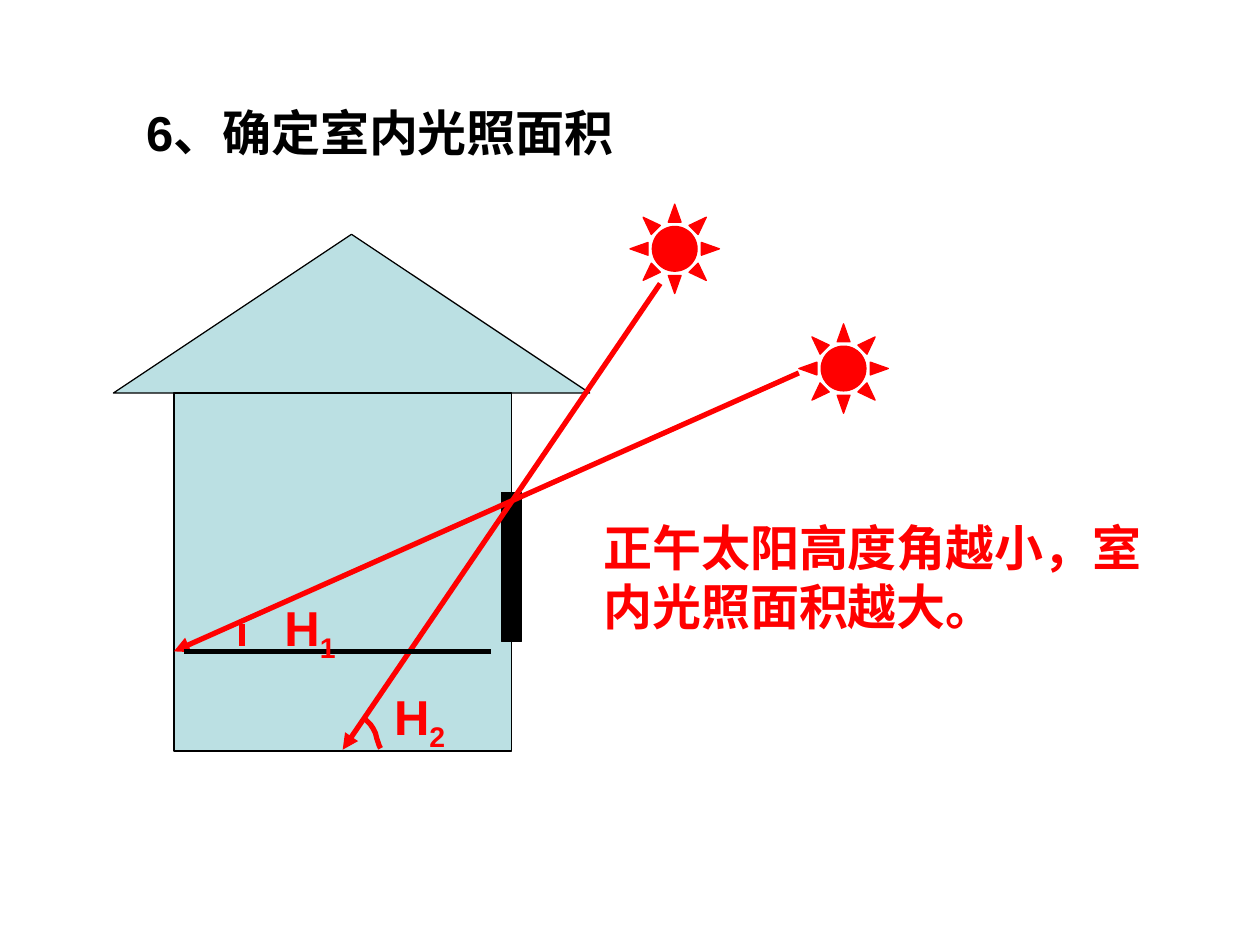
from pptx import Presentation
from pptx.dml.color import RGBColor
from pptx.enum.shapes import MSO_CONNECTOR, MSO_SHAPE
from pptx.enum.text import MSO_ANCHOR, MSO_AUTO_SIZE, PP_ALIGN
from pptx.oxml.ns import qn
from pptx.util import Inches, Pt
from lxml import etree

RED = RGBColor(0xFF, 0x00, 0x00)
BLACK = RGBColor(0x00, 0x00, 0x00)
PALE_BLUE = RGBColor(0xBB, 0xE0, 0xE3)
FONT = "Arial"
STRAIGHT = MSO_CONNECTOR.STRAIGHT
TITLE_ONLY = 5

# The slide is a grid of 100 columns by 75 rows of square cells.
COLUMNS, ROWS = 100, 75
CELL = Inches(0.1)


def cells(*counts):
    return [round(count * CELL) for count in counts]


def add_preset(shapes, kind, box, fill, line=BLACK):
    shape = shapes.add_shape(kind, *cells(*box))
    shape.shadow.inherit = False
    shape.fill.solid()
    shape.fill.fore_color.rgb = fill
    shape.line.color.rgb = line
    shape.line.width = Pt(0.75)


def add_line(shapes, start, end, color, arrow=False):
    connector = shapes.add_connector(STRAIGHT, *cells(*start, *end))
    connector.line.color.rgb = color
    connector.line.width = Pt(3)
    if arrow:
        outline = connector.line._get_or_add_ln()
        etree.SubElement(outline, qn("a:tailEnd"), type="triangle")
    etree.SubElement(connector._element.spPr, qn("a:effectLst"))


def fill_text(shape, text, color, subscript=None):
    frame = shape.text_frame
    frame.word_wrap = True
    frame.auto_size = MSO_AUTO_SIZE.NONE
    frame.vertical_anchor = MSO_ANCHOR.TOP
    frame.margin_left = frame.margin_right = Inches(0.1)
    frame.margin_top = frame.margin_bottom = Inches(0.05)
    paragraph = frame.paragraphs[0]
    paragraph.alignment = PP_ALIGN.LEFT
    for part in filter(None, (text, subscript)):
        run = paragraph.add_run()
        run.text = part
        run.font.name = FONT
        run.font.size = Pt(28)
        run.font.bold = True
        run.font.color.rgb = color
        if part is subscript:
            run._r.get_or_add_rPr().set("baseline", "-25000")


def add_title(slide, box):
    title = slide.shapes.title
    title.left, title.top, title.width, title.height = cells(*box)
    fill_text(title, "6、确定室内光照面积", BLACK)


def add_house(slide, box):
    """Draw a roof over walls, with a window in the right wall."""
    left, top, width, height = box
    roof_height = 12.6
    wall_left, wall_width = left + 4.8, 26.8
    wall_top = top + roof_height
    house = slide.shapes.add_group_shape().shapes
    add_preset(house, MSO_SHAPE.ISOSCELES_TRIANGLE,
               (left, top, width, roof_height), PALE_BLUE)
    add_preset(house, MSO_SHAPE.RECTANGLE,
               (wall_left, wall_top, wall_width, height - roof_height), PALE_BLUE)
    window_width = 1.6
    window_left = wall_left + wall_width - window_width / 2
    add_preset(slide.shapes, MSO_SHAPE.RECTANGLE,
               (window_left, wall_top + 7.9, window_width, 11.8), BLACK)


def add_sun(slide, left, top, ray_start, ray_end):
    """Draw a sun and its ray, whose ends are measured from the sun's corner."""
    size = 7.1
    group = slide.shapes.add_group_shape().shapes
    add_preset(group, MSO_SHAPE.SUN, (left, top, size, size), RED, RED)
    start, end = ((left + x, top + y) for x, y in (ray_start, ray_end))
    add_line(group, start, end, RED, arrow=True)


def add_angle_arc(slide, left, top):
    offsets = [(0, 0), (0.4, 0.4), (0.6, 0.7), (0.8, 1.1), (0.9, 1.5),
               (1, 1.8), (1.1, 2.1), (1.2, 2.3)]
    points = [tuple(cells(left + x, top + y)) for x, y in offsets]
    builder = slide.shapes.build_freeform(*points[0])
    builder.add_line_segments(points[1:], close=False)
    arc = builder.convert_to_shape()
    arc.shadow.inherit = False
    arc.fill.background()
    arc.line.color.rgb = RED
    arc.line.width = Pt(3)


def add_text(slide, box, text, subscript=None):
    fill_text(slide.shapes.add_textbox(*cells(*box)), text, RED, subscript)


def main():
    presentation = Presentation()
    presentation.slide_width, presentation.slide_height = cells(COLUMNS, ROWS)
    slide = presentation.slides.add_slide(presentation.slide_layouts[TITLE_ONLY])

    add_title(slide, (10.6, 7.6, 60.6, 5.7))
    add_house(slide, (9, 18.6, 37.8, 41))
    add_sun(slide, 50, 16.2, ray_start=(2.4, 6.3), ray_end=(-22.8, 43.3))
    add_sun(slide, 63.4, 25.7, ray_start=(0, 3.9), ray_end=(-49.6, 26))
    add_line(slide.shapes, (14.6, 51.7), (39, 51.7), BLACK)
    add_line(slide.shapes, (19.2, 49.5), (19.2, 51.3), RED)
    add_angle_arc(slide, 29, 57.1)
    add_text(slide, (21.6, 46.9, 8.7, 6.3), "H", "1")
    add_text(slide, (30.3, 54, 8.7, 6.3), "H", "2")
    add_text(slide, (46.9, 40.6, 45.7, 10.4), "正午太阳高度角越小，室内光照面积越大。")

    presentation.save("out.pptx")


if __name__ == "__main__":
    main()
